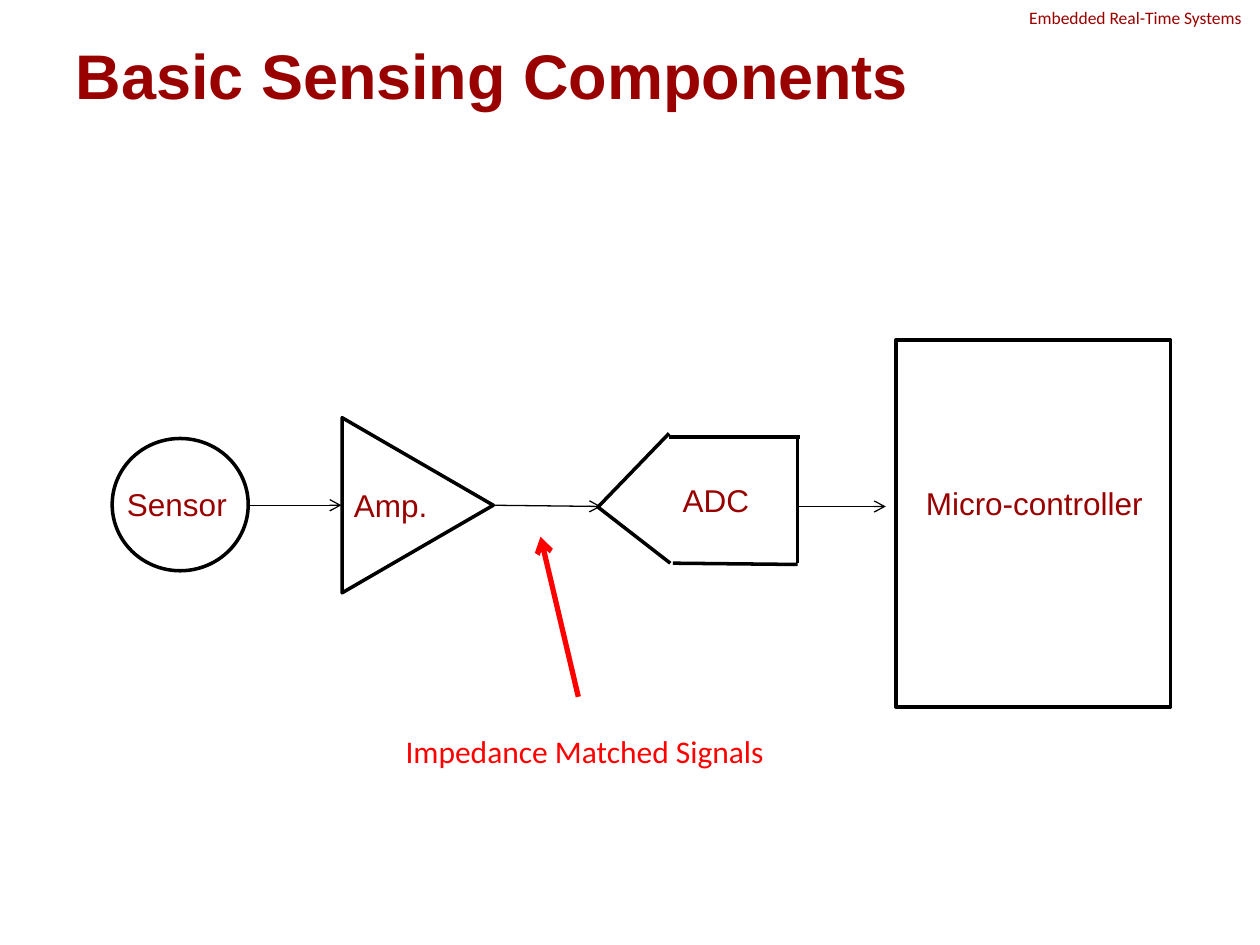
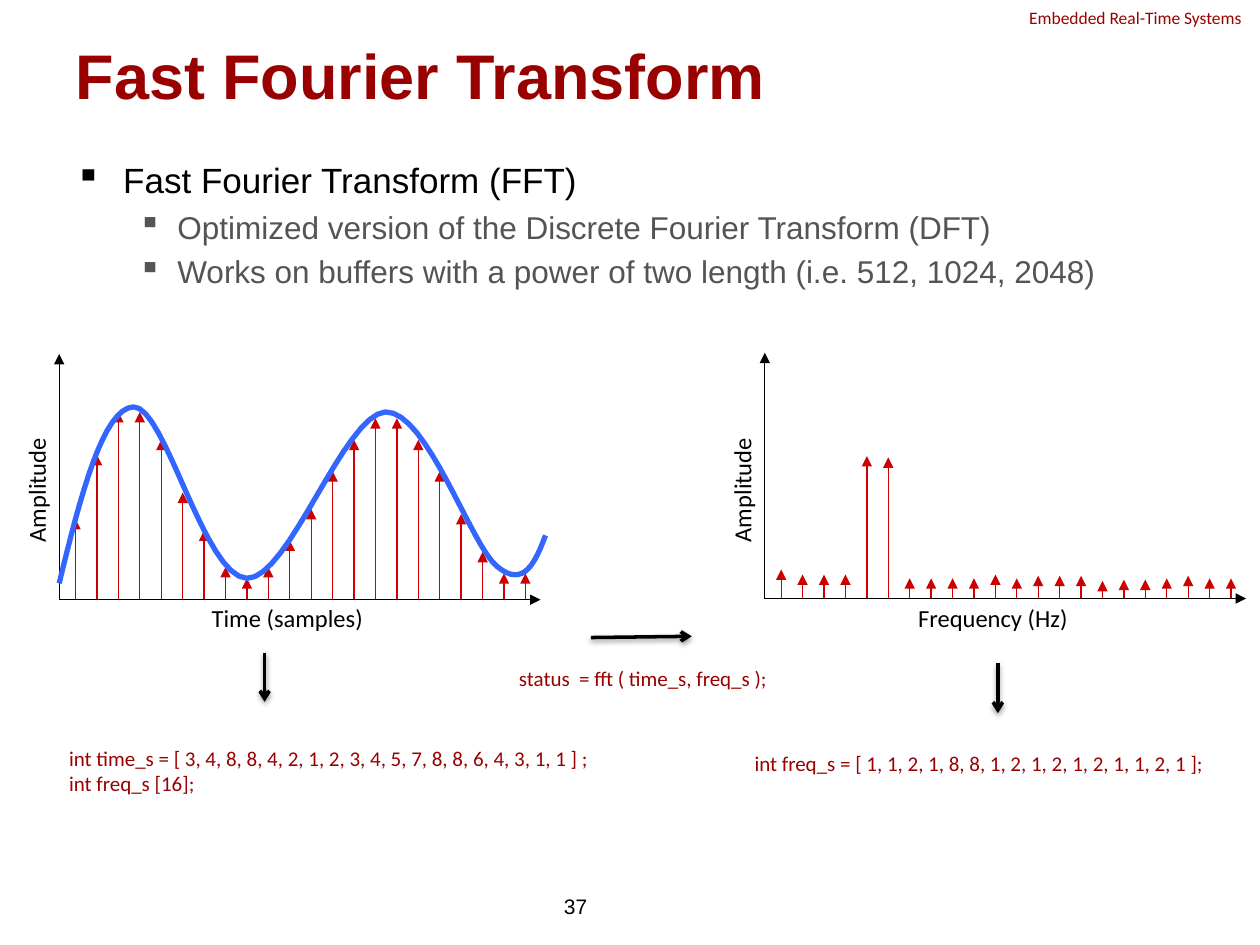
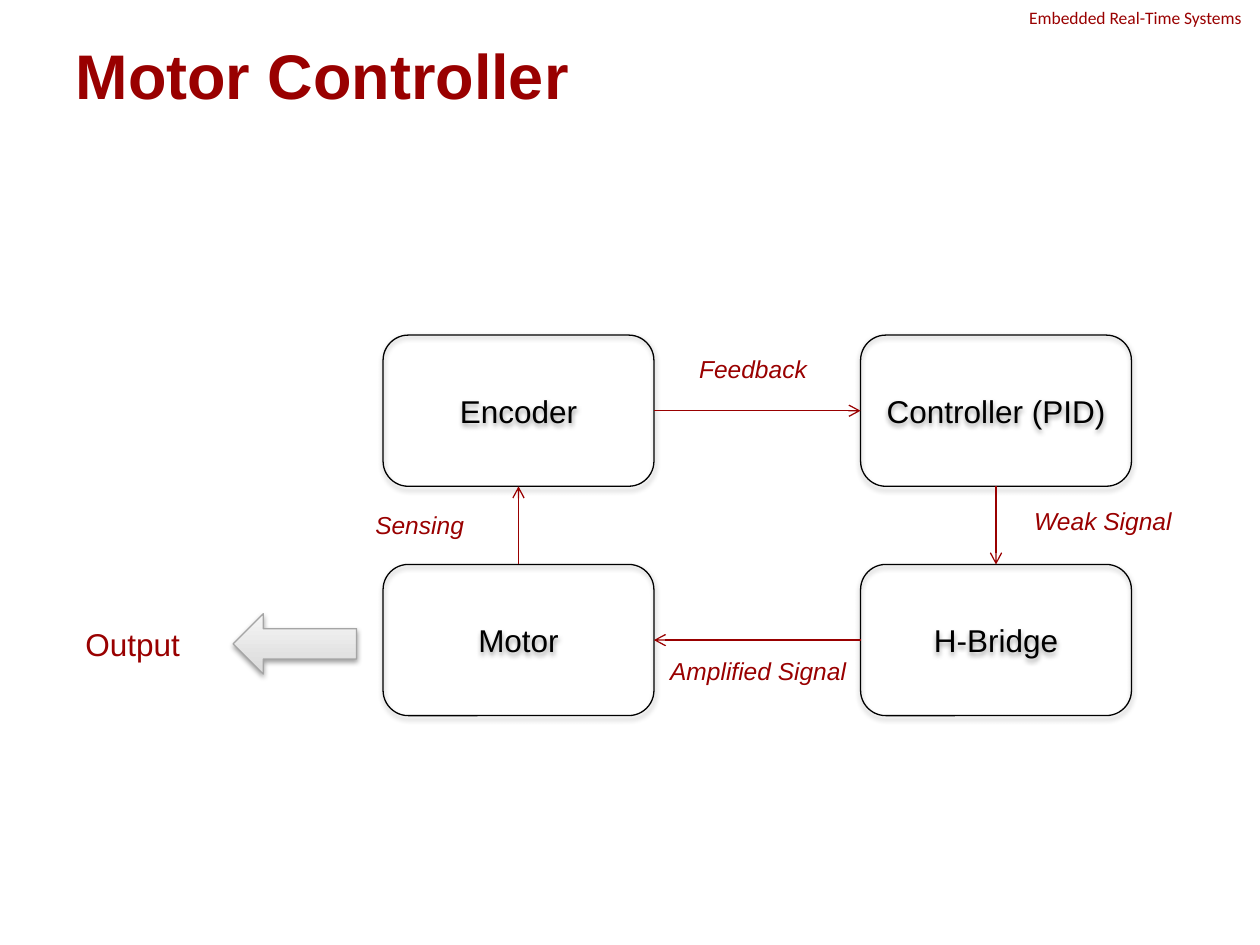
from lxml import etree
from pptx import Presentation
from pptx.dml.color import RGBColor
from pptx.enum.shapes import MSO_CONNECTOR, MSO_SHAPE
from pptx.enum.text import MSO_ANCHOR, MSO_AUTO_SIZE, PP_ALIGN
from pptx.oxml import parse_xml
from pptx.oxml.ns import nsdecls, qn
from pptx.util import Inches, Pt

COLORS = {name: RGBColor.from_string(value) for name, value in {
    "maroon": "990000", "black": "000000", "white": "FFFFFF", "gray": "545454",
    "red": "FF0000", "stem": "CC0000", "wave": "3366FF",
    "arrow_dark": "DADADA", "arrow_light": "F5F5F5", "arrow_edge": "A5A5A5",
}.items()}
SHADOW = (f'<a:outerShdw {nsdecls("a")} blurRad="39370" dist="20320" dir="5400000" rotWithShape="0">'
          '<a:srgbClr val="000000"><a:alpha val="38000"/></a:srgbClr></a:outerShdw>')


def add_label(page, text, left, top, width, height=0.4, size=18, font="Arial",
              color="maroon", align=PP_ALIGN.LEFT, italic=False):
    box = page.shapes.add_textbox(Inches(left), Inches(top), Inches(width), Inches(height))
    box.text_frame.word_wrap = True
    box.text_frame.text = text
    for paragraph in box.text_frame.paragraphs:
        paragraph.alignment = align
        paragraph.font.name = font
        paragraph.font.size = Pt(size)
        paragraph.font.italic = italic
        paragraph.font.color.rgb = COLORS[color]
    return box


def add_line(page, start, end, color="black", width=0.75, head=None):
    """Draw a straight line with an optional arrowhead at its end."""
    points = [Inches(value) for value in (*start, *end)]
    line = page.shapes.add_connector(MSO_CONNECTOR.STRAIGHT, *points)
    line.line.color.rgb = COLORS[color]
    line.line.width = Pt(width)
    if head:
        etree.SubElement(line.line._get_or_add_ln(), qn("a:tailEnd"), type=head)
    etree.SubElement(line._element.spPr, qn("a:effectLst"))
    return line


deck = Presentation()
deck.slide_width, deck.slide_height = Inches(10), Inches(7.5)
pages = []
for heading in ("Basic Sensing Components", "Fast Fourier Transform", "Motor Controller"):
    page = deck.slides.add_slide(deck.slide_layouts[5])
    add_label(page, "Embedded Real-Time Systems", 8.07, 0.01, 1.93, 0.27, 10, "Calibri")
    title = page.shapes.title
    title.left, title.top, title.width, title.height = map(Inches, (0.5, 0.3, 9, 0.58))
    frame = title.text_frame
    frame.text = heading
    frame.auto_size = MSO_AUTO_SIZE.NONE
    frame.vertical_anchor = MSO_ANCHOR.MIDDLE
    paragraph = frame.paragraphs[0]
    paragraph.alignment = PP_ALIGN.LEFT
    paragraph.font.name = "Arial"
    paragraph.font.size = Pt(36)
    paragraph.font.bold = True
    paragraph.font.color.rgb = COLORS["maroon"]
    pages.append(page)
sensing, fourier, motor_control = pages
shadowed = []

# Sensing chain
for kind, left, top, width, height, rotation in (
    (MSO_SHAPE.OVAL, 0.89, 3.48, 1.08, 1.05, 0),
    (MSO_SHAPE.ISOSCELES_TRIANGLE, 2.62, 3.41, 1.39, 1.2, 90),
    (MSO_SHAPE.RECTANGLE, 7.11, 2.7, 2.18, 2.91, 0),
):
    part = sensing.shapes.add_shape(kind, Inches(left), Inches(top), Inches(width), Inches(height))
    part.rotation = rotation
    part.shadow.inherit = False
    part.fill.background()
    part.line.color.rgb = COLORS["black"]
    part.line.width = Pt(2)

adc_edges = (
    ((4.75, 4.02), (5.31, 3.44)), ((4.74, 4.02), (5.32, 4.47)),
    ((5.31, 3.47), (6.35, 3.47)), ((5.34, 4.47), (6.33, 4.48)),
    ((6.33, 3.45), (6.33, 4.47)),
)
for start, end in adc_edges:
    add_line(sensing, start, end, width=2)

signals = (((1.97, 4.01), (2.71, 4.01)), ((3.91, 4.01), (4.77, 4.02)), ((6.33, 4.02), (7.03, 4.02)))
for start, end in signals:
    add_line(sensing, start, end, head="arrow")

for text, left, top, width in (
    ("Sensor", 0.91, 3.8, 1.1), ("Amp.", 2.71, 3.81, 1),
    ("ADC", 5.32, 3.77, 0.9), ("Micro-controller", 7.25, 3.79, 2.1),
):
    add_label(sensing, text, left, top, width)
add_line(sensing, (4.59, 5.53), (4.29, 4.26), "red", 3, "arrow")
add_label(sensing, "Impedance Matched Signals", 3.12, 5.76, 3.38, font="Calibri", color="red")

# Fourier transform: bullets
bullets = (
    ("Fast Fourier Transform (FFT)", 0, 0.38, 0.38, 20, "black"),
    ("Optimized version of the Discrete Fourier Transform (DFT)", 1, 0.81, 0.31, 18, "gray"),
    ("Works on buffers with a power of two length (i.e. 512, 1024, 2048)", 1, 0.81, 0.31, 18, "gray"),
)
body = fourier.shapes.add_textbox(Inches(0.5), Inches(1.21), Inches(9), Inches(1.2))
body.text_frame.word_wrap = True
body.text_frame.text = "\n".join(bullet[0] for bullet in bullets)
for paragraph, (_, level, margin, hanging, size, color) in zip(body.text_frame.paragraphs, bullets):
    paragraph.level = level
    properties = paragraph._p.get_or_add_pPr()
    properties.set("marL", str(Inches(margin)))
    properties.set("indent", str(-Inches(hanging)))
    etree.SubElement(properties, qn("a:buChar"), char="▪")
    if level:
        paragraph.space_before = Pt(4)
    paragraph.font.name = "Arial"
    paragraph.font.size = Pt(size)
    paragraph.font.color.rgb = COLORS[color]

# Fourier transform: plots
STEM_OFFSET, STEM_PITCH = 0.13, 0.17
time_stems = (0.64, 1.15, 1.49, 1.49, 1.27, 0.85, 0.55, 0.26, 0.17, 0.26, 0.47,
              0.72, 1.02, 1.27, 1.44, 1.44, 1.27, 1.02, 0.68, 0.38, 0.21, 0.21)
frequency_stems = (0.23, 0.19, 0.19, 0.19, 1.13, 1.12, 0.16, 0.16, 0.16, 0.16, 0.19,
                   0.16, 0.18, 0.18, 0.18, 0.14, 0.15, 0.15, 0.16, 0.18, 0.16, 0.16)
for caption, left, base, stems in (
    ("Time (samples)", 0.47, 4.76, time_stems),
    ("Frequency (Hz)", 6.07, 4.75, frequency_stems),
):
    for index, height in enumerate(stems):
        x = left + STEM_OFFSET + index * STEM_PITCH
        add_line(fourier, (x, base), (x, base - height), "stem", head="triangle")
    add_line(fourier, (left, base), (left, base - 1.95), head="triangle")
    add_line(fourier, (left, base), (left + 3.82, base), head="triangle")
    add_label(fourier, caption, left + 0.55, 4.74, 2.52, 0.34, 14, "Calibri", "black", PP_ALIGN.CENTER)
    amplitude = add_label(fourier, "Amplitude", left - 1.01, 3.72, 1.66, 0.34, 14, "Calibri",
                          "black", PP_ALIGN.CENTER)
    amplitude.rotation = 270

wave_knots = ((0.47, 4.63), (0.64, 3.93), (0.82, 3.24), (1.06, 3.23), (1.31, 3.22), (1.62, 4.58),
              (1.96, 4.59), (2.29, 4.6), (2.73, 3.29), (3.06, 3.27), (3.39, 3.26), (3.74, 4.34),
              (3.95, 4.5), (4.16, 4.67), (4.25, 4.46), (4.33, 4.25))
STEPS = 16
wave_points = []
for first in range(0, len(wave_knots) - 1, 3):
    for step in range(1, STEPS + 1):
        t = step / STEPS
        weights = ((1 - t) ** 3, 3 * t * (1 - t) ** 2, 3 * t ** 2 * (1 - t), t ** 3)
        curve = wave_knots[first:first + 4]
        wave_points.append([Inches(sum(w * knot[axis] for w, knot in zip(weights, curve)))
                            for axis in (0, 1)])
builder = fourier.shapes.build_freeform(*map(Inches, wave_knots[0]))
builder.add_line_segments(wave_points, close=False)
wave = builder.convert_to_shape()
wave.shadow.inherit = False
wave.fill.background()
wave.line.color.rgb = COLORS["wave"]
wave.line.width = Pt(3)

# Fourier transform: code
flow_arrows = (((2.1, 5.18), (2.1, 5.57)), ((4.69, 5.06), (5.49, 5.05)), ((7.92, 5.26), (7.92, 5.66)))
for start, end in flow_arrows:
    shadowed.append(add_line(fourier, start, end, width=2, head="arrow"))
for code, left, top, width in (
    ("int time_s = [ 3, 4, 8, 8, 4, 2, 1, 2, 3, 4, 5, 7, 8, 8, 6, 4, 3, 1, 1 ] ;\nint freq_s [16];",
     0.45, 5.87, 4.47),
    ("status  = fft ( time_s, freq_s );", 4.02, 5.23, 2.31),
    ("int freq_s = [ 1, 1, 2, 1, 8, 8, 1, 2, 1, 2, 1, 2, 1, 1, 2, 1 ];", 5.89, 5.91, 4.1),
):
    add_label(fourier, code, left, top, width, 0.5, 12, "Calibri")
number = add_label(fourier, "37", 2.43, 6.99, 2.33, size=12, color="black", align=PP_ALIGN.RIGHT)
number.text_frame.vertical_anchor = MSO_ANCHOR.MIDDLE

# Motor control loop
blocks = {}
for row, names in enumerate((("Encoder", "Controller (PID)"), ("Motor", "H-Bridge"))):
    for column, name in enumerate(names):
        block = motor_control.shapes.add_shape(
            MSO_SHAPE.ROUNDED_RECTANGLE, Inches(3.04 + 3.79 * column), Inches(2.66 + 1.82 * row),
            Inches(2.15), Inches(1.2))
        block.fill.background()
        block.line.color.rgb = COLORS["black"]
        block.line.width = Pt(0.75)
        block.text_frame.text = name
        block.text_frame.vertical_anchor = MSO_ANCHOR.MIDDLE
        paragraph = block.text_frame.paragraphs[0]
        paragraph.alignment = PP_ALIGN.CENTER
        paragraph.font.name = "Arial"
        paragraph.font.size = Pt(18)
        paragraph.font.color.rgb = COLORS["black"]
        blocks[name] = block
        shadowed.append(block)

TOP, LEFT, BOTTOM, RIGHT = range(4)
for source, source_side, target, target_side in (
    ("H-Bridge", LEFT, "Motor", RIGHT), ("Motor", TOP, "Encoder", BOTTOM),
    ("Encoder", RIGHT, "Controller (PID)", LEFT), ("Controller (PID)", BOTTOM, "H-Bridge", TOP),
):
    link = add_line(motor_control, (0, 0), (1, 1), "maroon", head="arrow")
    link.begin_connect(blocks[source], source_side)
    link.end_connect(blocks[target], target_side)

output_arrow = motor_control.shapes.add_shape(
    MSO_SHAPE.LEFT_ARROW, Inches(1.85), Inches(4.87), Inches(0.98), Inches(0.48))
output_arrow.fill.gradient()
output_arrow.fill.gradient_angle = 90
for stop, color in zip(output_arrow.fill.gradient_stops, ("arrow_dark", "arrow_light")):
    stop.color.rgb = COLORS[color]
output_arrow.line.color.rgb = COLORS["arrow_edge"]
output_arrow.line.width = Pt(0.75)
shadowed.append(output_arrow)

add_label(motor_control, "Output", 0.58, 4.91, 1.36)
for text, left, top, width in (
    ("Sensing", 2.88, 4, 1.22), ("Feedback", 5.45, 2.76, 1.22),
    ("Weak Signal", 8.11, 3.97, 1.79), ("Amplified Signal", 5.22, 5.16, 1.79),
):
    add_label(motor_control, text, left, top, width, 0.34, 14, italic=True)

for item in shadowed:
    properties = item._element.spPr
    effects = properties.find(qn("a:effectLst"))
    if effects is None:
        effects = etree.SubElement(properties, qn("a:effectLst"))
    effects.append(parse_xml(SHADOW))

deck.save("out.pptx")
